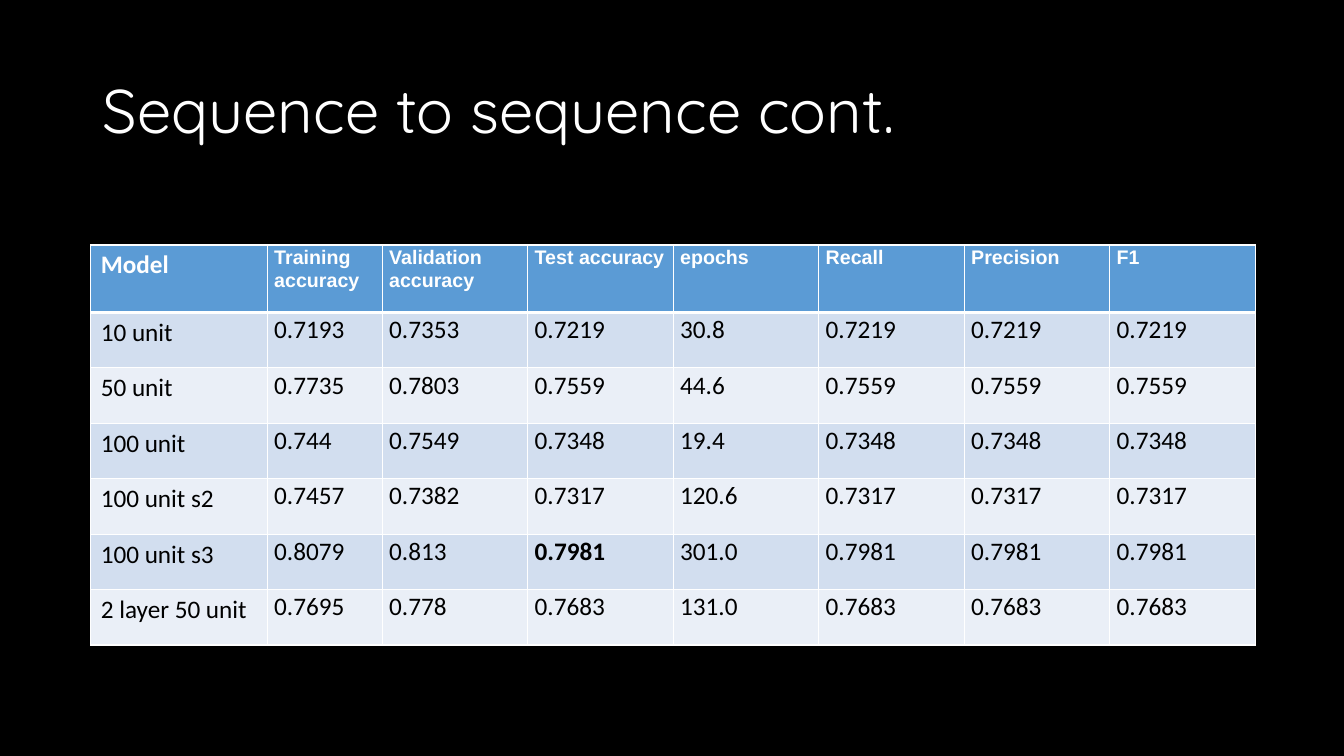
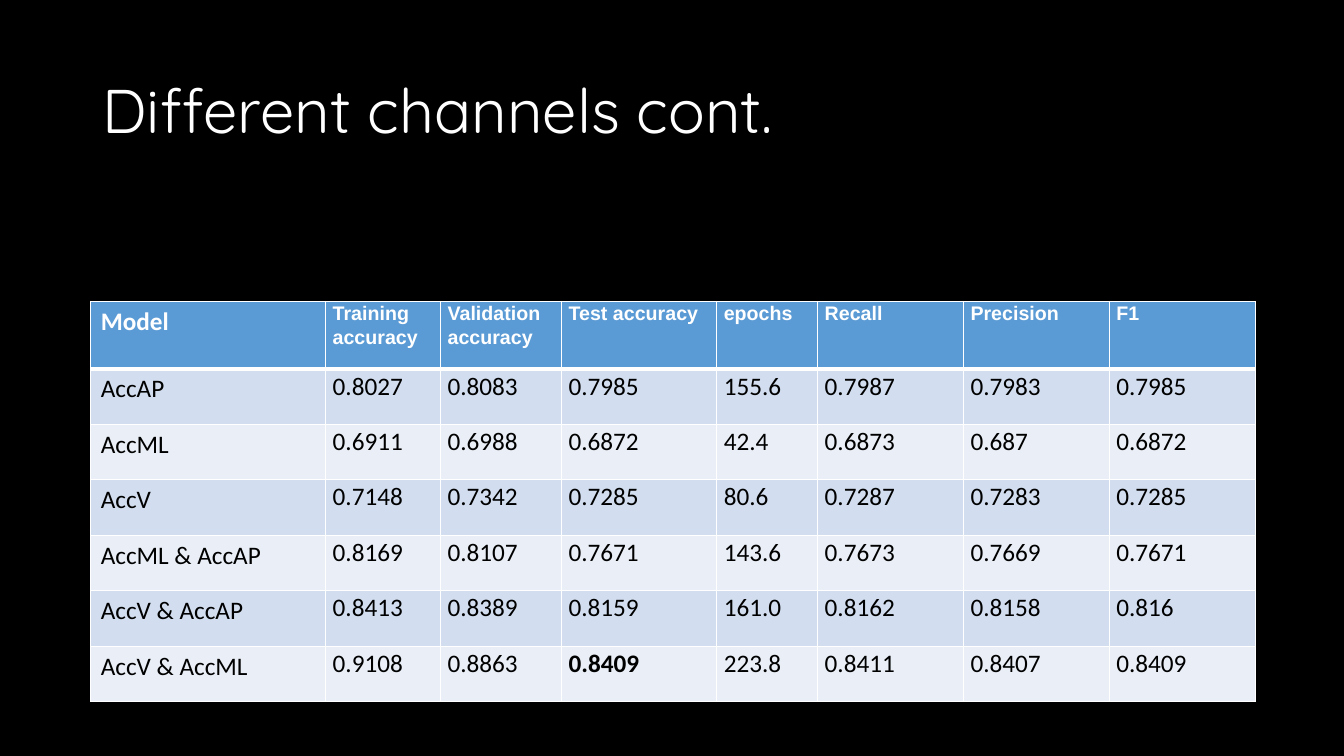
from lxml.etree import SubElement
from pptx import Presentation
from pptx.dml.color import RGBColor
from pptx.enum.text import MSO_ANCHOR
from pptx.oxml.ns import qn
from pptx.util import Inches, Pt

COLOURS = {
    "background": "000000",
    "title": "FFFFFF",
    "header": "5B9BD5",
    "header text": "FFFFFF",
    "odd row": "D2DEEF",
    "even row": "EAEFF7",
    "body text": "000000",
    "border": "FFFFFF",
}

HEADERS = ["Model", "Training accuracy", "Validation accuracy", "Test accuracy",
           "epochs", "Recall", "Precision", "F1"]
TEST_COLUMN = HEADERS.index("Test accuracy")

SLIDES = [
    {
        "title": "Sequence to sequence cont.",
        "top": 2.43,
        "leading widths": [1.75, 1.14],
        "rows": [
            ["10 unit", "0.7193", "0.7353", "0.7219", "30.8", "0.7219", "0.7219", "0.7219"],
            ["50 unit", "0.7735", "0.7803", "0.7559", "44.6", "0.7559", "0.7559", "0.7559"],
            ["100 unit", "0.744", "0.7549", "0.7348", "19.4", "0.7348", "0.7348", "0.7348"],
            ["100 unit s2", "0.7457", "0.7382", "0.7317", "120.6", "0.7317", "0.7317", "0.7317"],
            ["100 unit s3", "0.8079", "0.813", "0.7981", "301.0", "0.7981", "0.7981", "0.7981"],
            ["2 layer 50 unit", "0.7695", "0.778", "0.7683", "131.0", "0.7683", "0.7683", "0.7683"],
        ],
    },
    {
        "title": "Different channels cont.",
        "top": 2.99,
        "leading widths": [2.33, 1.14, 1.2, 1.54, 1],
        "rows": [
            ["AccAP", "0.8027", "0.8083", "0.7985", "155.6", "0.7987", "0.7983", "0.7985"],
            ["AccML", "0.6911", "0.6988", "0.6872", "42.4", "0.6873", "0.687", "0.6872"],
            ["AccV", "0.7148", "0.7342", "0.7285", "80.6", "0.7287", "0.7283", "0.7285"],
            ["AccML & AccAP", "0.8169", "0.8107", "0.7671", "143.6", "0.7673", "0.7669", "0.7671"],
            ["AccV & AccAP", "0.8413", "0.8389", "0.8159", "161.0", "0.8162", "0.8158", "0.816"],
            ["AccV & AccML", "0.9108", "0.8863", "0.8409", "223.8", "0.8411", "0.8407", "0.8409"],
        ],
    },
]

TABLE_LEFT, TABLE_WIDTH = 0.9, 11.55
HEADER_HEIGHT, ROW_HEIGHT = 0.67, 0.55


def colour(name):
    return RGBColor.from_string(COLOURS[name])


def set_font(paragraph, name, size, colour_name, bold=False):
    font = paragraph.font
    font.name, font.size, font.bold = name, Pt(size), bold
    font.color.rgb = colour(colour_name)


def add_title(page, text):
    box = page.shapes.add_textbox(Inches(0.92), Inches(0.4), Inches(11.5), Inches(1.45))
    frame = box.text_frame
    frame.word_wrap = True
    frame.vertical_anchor = MSO_ANCHOR.MIDDLE
    paragraph = frame.paragraphs[0]
    paragraph.text = text
    paragraph.line_spacing = 0.9
    set_font(paragraph, "Quicksand", 44, "title")


def set_borders(cell, row):
    widths = {"L": 1, "R": 1, "T": 3 if row == 1 else 1, "B": 3 if row == 0 else 1}
    properties = cell._tc.get_or_add_tcPr()
    for side, width in widths.items():
        line = SubElement(properties, qn(f"a:ln{side}"), w=str(Pt(width)))
        fill = SubElement(line, qn("a:solidFill"))
        SubElement(fill, qn("a:srgbClr"), val=COLOURS["border"])


def fill_cell(cell, text, row, column, best):
    set_borders(cell, row)
    cell.fill.solid()
    band = "header" if row == 0 else "odd row" if row % 2 else "even row"
    cell.fill.fore_color.rgb = colour(band)
    paragraph = cell.text_frame.paragraphs[0]
    paragraph.text = text
    if column > 0:
        cell.margin_left = cell.margin_right = Inches(0.07)
        cell.margin_top = cell.margin_bottom = 0
        paragraph.line_spacing = 1.07
        paragraph.space_after = Pt(8)
    if row == 0:
        name, size = ("Calibri", 18) if column == 0 else ("Arial", 14)
        set_font(paragraph, name, size, "header text", True)
    else:
        set_font(paragraph, "Calibri", 18, "body text", best)


def add_results(page, content):
    rows = [HEADERS] + content["rows"]
    heights = [HEADER_HEIGHT] + [ROW_HEIGHT] * len(content["rows"])
    leading = content["leading widths"]
    shared = len(HEADERS) - len(leading)
    widths = leading + [(TABLE_WIDTH - sum(leading)) / shared] * shared
    table = page.shapes.add_table(
        len(rows), len(HEADERS), Inches(TABLE_LEFT), Inches(content["top"]),
        Inches(TABLE_WIDTH), Inches(sum(heights))).table
    for column, width in zip(table.columns, widths):
        column.width = Inches(width)
    for row, height in zip(table.rows, heights):
        row.height = Inches(height)
    best_score = max((values[TEST_COLUMN] for values in content["rows"]), key=float)
    for row, values in enumerate(rows):
        for column, text in enumerate(values):
            best = column == TEST_COLUMN and text == best_score
            fill_cell(table.cell(row, column), text, row, column, best)


def main():
    deck = Presentation()
    deck.slide_width, deck.slide_height = Inches(13.33), Inches(7.5)
    background = deck.slide_master.background.fill
    background.solid()
    background.fore_color.rgb = colour("background")
    for content in SLIDES:
        page = deck.slides.add_slide(deck.slide_layouts[6])
        add_title(page, content["title"])
        add_results(page, content)
    deck.save("out.pptx")


if __name__ == "__main__":
    main()
